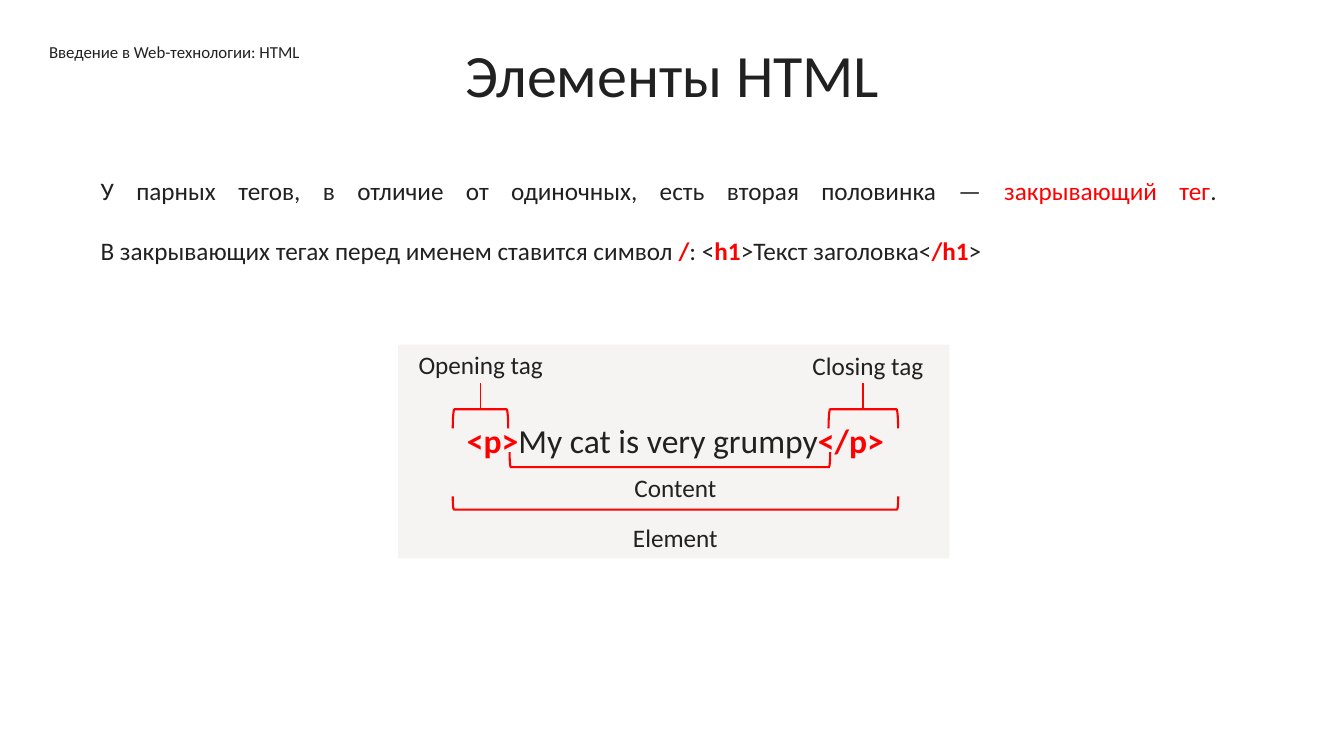
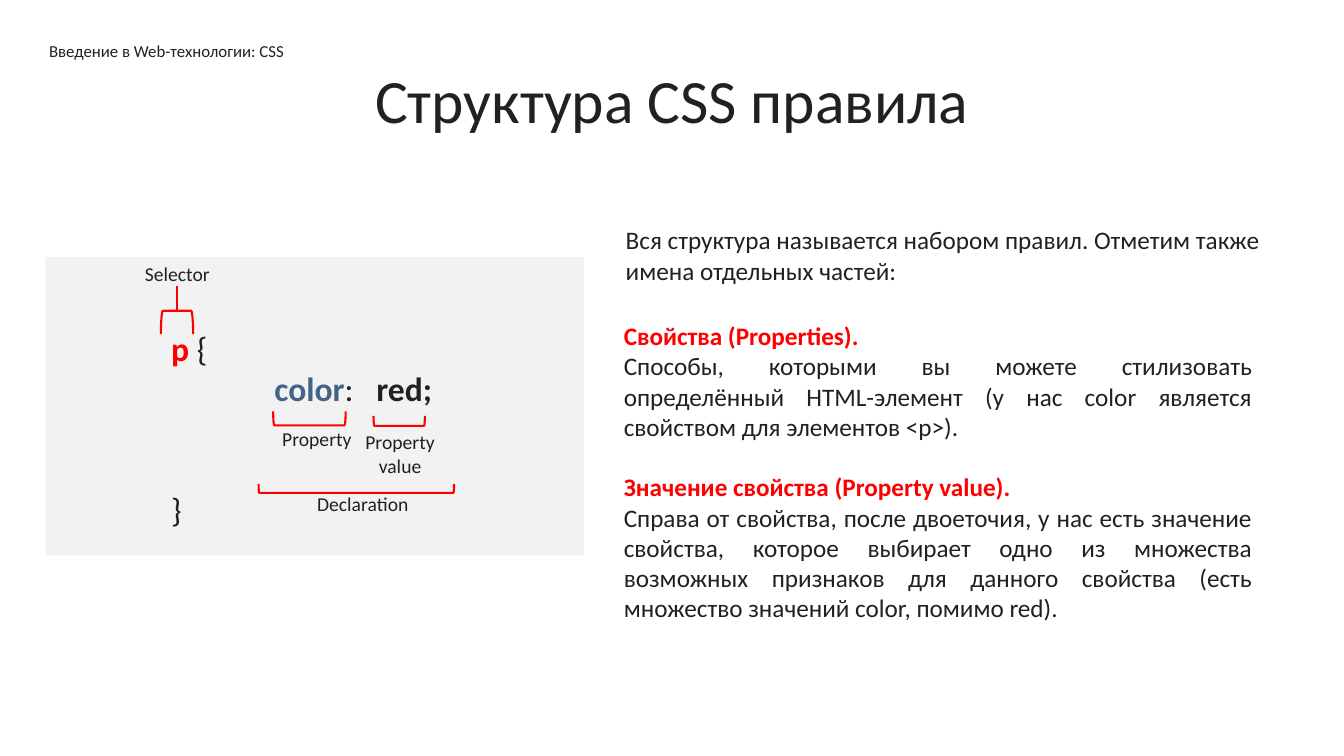
from dataclasses import dataclass

from lxml import etree
from pptx import Presentation
from pptx.dml.color import RGBColor
from pptx.enum.shapes import MSO_CONNECTOR, MSO_SHAPE
from pptx.enum.text import MSO_ANCHOR, MSO_AUTO_SIZE, PP_ALIGN
from pptx.oxml.ns import qn
from pptx.util import Pt

LEFT = PP_ALIGN.LEFT
CENTER = PP_ALIGN.CENTER
JUSTIFY = PP_ALIGN.JUSTIFY
TOP = MSO_ANCHOR.TOP
NO_AUTOFIT = MSO_AUTO_SIZE.NONE
RECTANGLE = MSO_SHAPE.RECTANGLE
LEFT_BRACKET = MSO_SHAPE.LEFT_BRACKET
STRAIGHT = MSO_CONNECTOR.STRAIGHT
BREAK = None


@dataclass(frozen=True)
class Theme:
    font: str = "Calibri"
    ink: RGBColor = RGBColor(0x21, 0x21, 0x21)
    accent: RGBColor = RGBColor(0xFF, 0x00, 0x00)
    keyword: RGBColor = RGBColor(0x45, 0x63, 0x88)
    warm_panel: RGBColor = RGBColor(0xF5, 0xF4, 0xF3)
    gray_panel: RGBColor = RGBColor(0xF2, 0xF2, 0xF2)
    running_head: float = 12
    small_label: float = 14
    body: float = 18
    code: float = 24
    bracket_line: float = 1.5
    stem_line: float = 1.25


THEME = Theme()


@dataclass
class Span:
    text: str
    color: RGBColor = THEME.ink
    bold: bool = False


@dataclass
class Line:
    spans: list
    align: PP_ALIGN = LEFT
    before: float = 0
    spacing: object = None


def accent(text, bold=True):
    return Span(text, THEME.accent, bold)


def write_lines(text_frame, lines, size):
    text_frame.word_wrap = True
    text_frame.auto_size = NO_AUTOFIT
    text_frame.vertical_anchor = TOP
    for index, line in enumerate(lines):
        paragraph = text_frame.paragraphs[0] if index == 0 else text_frame.add_paragraph()
        paragraph.alignment = line.align
        paragraph.space_before = Pt(line.before)
        if line.spacing is not None:
            paragraph.line_spacing = line.spacing
        for span in line.spans:
            if span is BREAK:
                paragraph.add_line_break()
                continue
            run = paragraph.add_run()
            run.text = span.text
            run.font.name = THEME.font
            run.font.size = Pt(size)
            run.font.bold = span.bold
            run.font.color.rgb = span.color


def add_text(slide, box, lines, size):
    shape = slide.shapes.add_textbox(*map(Pt, box))
    write_lines(shape.text_frame, lines, size)


def add_label(slide, center, top, width, height, text, size):
    box = (center - width / 2, top, width, height)
    add_text(slide, box, [Line([Span(text)], CENTER)], size)


def add_panel(slide, box, color):
    panel = slide.shapes.add_shape(RECTANGLE, *map(Pt, box))
    panel.shadow.inherit = False
    panel.fill.solid()
    panel.fill.fore_color.rgb = color
    panel.line.fill.background()


def add_bracket(slide, left, top, width, depth, opens_down=False):
    shift = (width - depth) / 2
    bracket = slide.shapes.add_shape(
        LEFT_BRACKET, Pt(left + shift), Pt(top - shift), Pt(depth), Pt(width))
    bracket.rotation = 90 if opens_down else 270
    bracket.shadow.inherit = False
    bracket.fill.background()
    bracket.line.color.rgb = THEME.accent
    bracket.line.width = Pt(THEME.bracket_line)


def add_stemmed_bracket(slide, left, top, width, depth, stem):
    add_bracket(slide, left, top, width, depth, opens_down=True)
    center = Pt(left + width / 2)
    connector = slide.shapes.add_connector(STRAIGHT, center, Pt(top), center, Pt(top - stem))
    connector.line.color.rgb = THEME.accent
    connector.line.width = Pt(THEME.stem_line)
    etree.SubElement(connector._element.spPr, qn("a:effectLst"))


def add_titled_slide(presentation, title, title_box, title_size, title_spacing,
                     running_head, head_top):
    slide = presentation.slides.add_slide(presentation.slide_layouts[5])
    placeholder = slide.shapes.title
    placeholder.left, placeholder.top, placeholder.width, placeholder.height = map(Pt, title_box)
    title_line = Line([Span(title)], CENTER, spacing=title_spacing)
    write_lines(placeholder.text_frame, [title_line], title_size)
    add_text(slide, (28, head_top, 213, 29), [Line([Span(running_head)])], THEME.running_head)
    return slide


def add_tag_rules(slide, box):
    spans = [
        Span("У парных тегов, в отличие от одиночных, есть вторая половинка — "),
        accent("закрывающий тег", bold=False),
        Span(". "),
        BREAK,
        Span("В закрывающих тегах перед именем ставится символ "),
        accent("/"), Span(": <"), accent("h1"),
        Span(">Текст заголовка<"), accent("/h1"), Span(">"),
    ]
    add_text(slide, box, [Line(spans, JUSTIFY, spacing=Pt(43))], THEME.body)


def add_element_diagram(slide, box):
    left, top, width, height = box
    add_panel(slide, box, THEME.warm_panel)
    code = [accent("<p>"), Span("My cat is very grumpy"), accent("</p>")]
    add_text(slide, (left + 22.3, top + 50.4, 351.4, 36), [Line(code, CENTER)], THEME.code)
    add_bracket(slide, left + 79.6, top + 76.7, 229, 10.8)
    add_bracket(slide, left + 39, top + 108.4, 318.2, 9.4)
    for bracket_left, bracket_width in ((39, 39.6), (307.4, 49.7)):
        add_stemmed_bracket(slide, left + bracket_left, top + 46.1, bracket_width, 13.7, 18.7)
    labels = (
        (59, 0, "Opening tag"),
        (335.5, 0.7, "Closing tag"),
        (198, 87.9, "Content"),
        (198, 123.2, "Element"),
    )
    for center, label_top, text in labels:
        add_label(slide, left + center, top + label_top, 116, 29, text, THEME.body)


def add_rule_diagram(slide, box):
    left, top, width, height = box
    add_panel(slide, box, THEME.gray_panel)
    code = [
        Line([accent("p "), Span("{")]),
        Line([Span("color", THEME.keyword, True), Span(": "), Span("  red;", bold=True)], CENTER),
        Line([Span("}")], before=58),
    ]
    add_text(slide, (left + 82.8, top + 46.8, 274.3, 152.6), code, THEME.code)
    add_stemmed_bracket(slide, left + 82.5, top + 38.4, 23, 16.6, 17.5)
    brackets = (
        (162.7, 110.2, 51.8, 10),
        (234.4, 113.4, 36.7, 7.2),
        (152.3, 162, 139.7, 6.5),
    )
    for bracket_left, bracket_top, bracket_width, depth in brackets:
        add_bracket(slide, left + bracket_left, top + bracket_top, bracket_width, depth)
    labels = (
        (94.3, 0, 100, 24.5, "Selector"),
        (194, 118.1, 100, 24.5, "Property"),
        (253.4, 120.2, 76.3, 41, "Property value"),
        (226.8, 164.2, 100, 24.5, "Declaration"),
    )
    for center, label_top, label_width, label_height, text in labels:
        add_label(slide, left + center, top + label_top, label_width, label_height,
                  text, THEME.small_label)


def add_definitions(slide, box):
    left, top, width, height = box
    intro = "Вся структура называется набором правил. Отметим также имена отдельных частей:"
    add_text(slide, (left + 1.4, top, width + 13, 51), [Line([Span(intro)])], THEME.body)
    definitions = (
        ("Свойства (Properties).",
         "Способы, которыми вы можете стилизовать определённый HTML-элемент "
         "(у нас color является свойством для элементов <p>)."),
        ("Значение свойства (Property value).",
         "Справа от свойства, после двоеточия, у нас есть значение свойства, "
         "которое выбирает одно из множества возможных признаков для данного свойства "
         "(есть множество значений color, помимо red)."),
    )
    lines = []
    for term, meaning in definitions:
        lines.append(Line([accent(term)], JUSTIFY, before=21.6 if lines else 0))
        lines.append(Line([Span(meaning)], JUSTIFY))
    add_text(slide, (left, top + 68.4, width, height - 68.4), lines, THEME.body)


def build_elements_slide(presentation):
    slide = add_titled_slide(
        presentation, "Элементы HTML", (262, 26.6, 436.3, 89.3), 42.9, Pt(48),
        "Введение в Web-технологии: HTML", 26.6)
    add_tag_rules(slide, (64.8, 100.2, 827.3, 94))
    add_element_diagram(slide, (284.4, 246.2, 393.8, 152.6))


def build_rule_slide(presentation):
    slide = add_titled_slide(
        presentation, "Структура CSS правила", (224.6, 46.8, 511.2, 69.1), 44, 0.9,
        "Введение в Web-технологии: CSS", 25.2)
    add_rule_diagram(slide, (32.4, 183.6, 384.5, 213.1))
    add_definitions(slide, (438.5, 157, 463, 315.4))


def main():
    presentation = Presentation()
    presentation.slide_width = Pt(960)
    presentation.slide_height = Pt(540)
    build_elements_slide(presentation)
    build_rule_slide(presentation)
    presentation.save("out.pptx")


if __name__ == "__main__":
    main()
